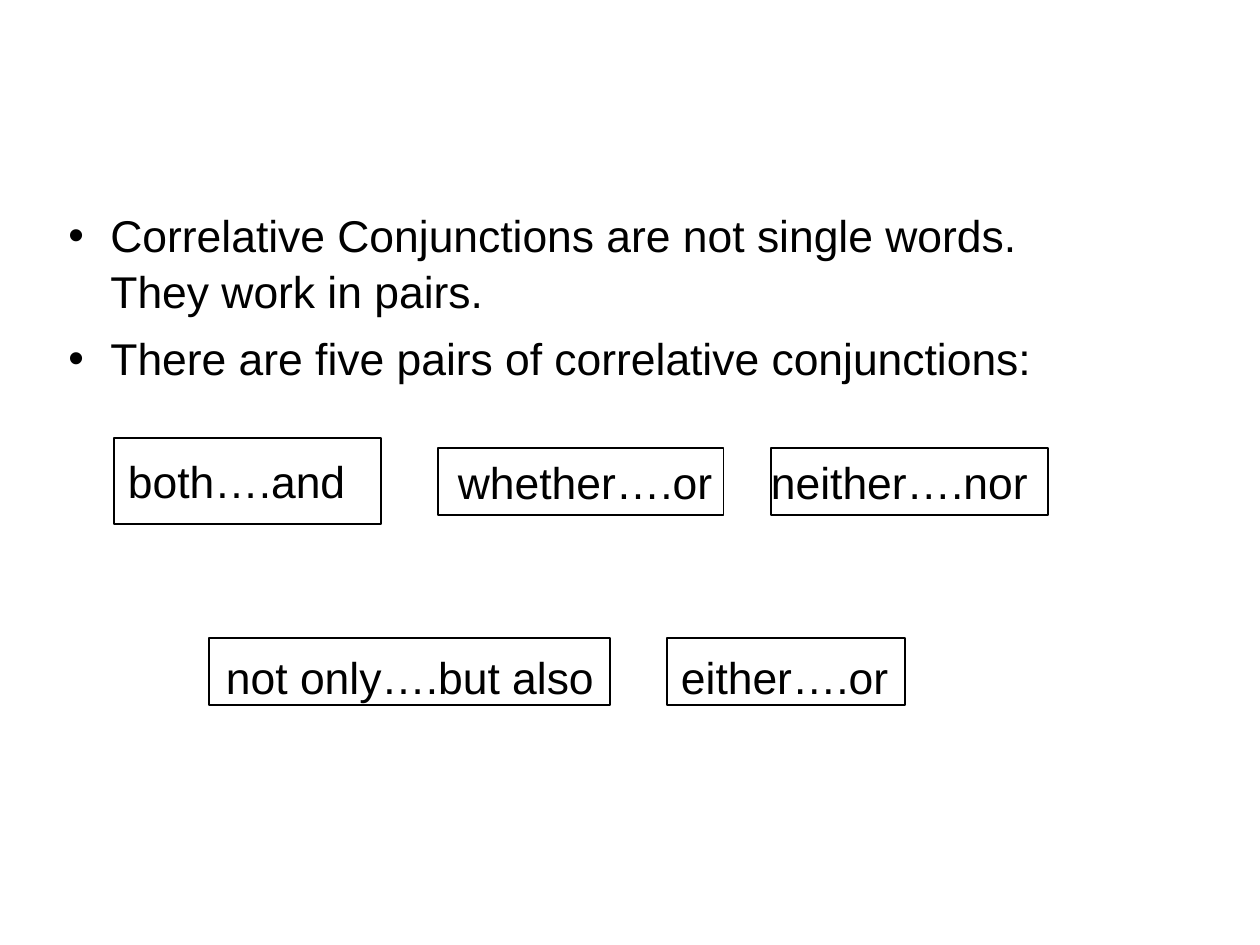
from lxml import etree
from pptx import Presentation
from pptx import util as u
from pptx.dml.color import RGBColor
from pptx.enum import shapes, text
from pptx.oxml.ns import qn

PX = 8000  # EMU in one px
SLIDE_SIZE = (1260, 945)
BLACK = "000000"

FACTS = [
    "Correlative Conjunctions are not single words. They work in pairs.",
    "There are five pairs of correlative conjunctions:",
]
FACTS_BOX = (57, 200, 1029, 566)
BULLET_INDENT = 42

# wording, (left, top, width, height), left inset, top inset
PAIRS = [
    ("both….and", (114, 438, 267, 86), 14, 0),
    ("whether….or", (438, 448, 286, 67), 20, 0),
    ("neither….nor", (771, 448, 277, 67), 0, 0),
    ("not only….but also", (209, 638, 401, 67), 17, 10),
    ("either….or", (667, 638, 238, 67), 14, 10),
]


def px(*lengths):
    return [u.Emu(length * PX) for length in lengths]


def color(hex_string):
    return RGBColor.from_string(hex_string)


def style(paragraph):
    paragraph.alignment = text.PP_ALIGN.LEFT
    for run in paragraph.runs:
        run.font.name = "Arial"
        run.font.size = u.Pt(28)
        run.font.color.rgb = color(BLACK)


def add_bullet(paragraph):
    properties = paragraph._p.get_or_add_pPr()
    indent = BULLET_INDENT * PX
    properties.set("marL", str(indent))
    properties.set("indent", str(-indent))
    etree.SubElement(properties, qn("a:buFont"), typeface="Arial")
    etree.SubElement(properties, qn("a:buChar"), char="•")


def write_facts(slide):
    body = slide.placeholders[1]
    body.left, body.top, body.width, body.height = px(*FACTS_BOX)
    frame = body.text_frame
    frame.auto_size = text.MSO_AUTO_SIZE.NONE
    frame.vertical_anchor = text.MSO_ANCHOR.TOP
    frame.text = "\n".join(FACTS)
    for index, fact in enumerate(frame.paragraphs):
        add_bullet(fact)
        fact.line_spacing = 1.05
        fact.space_before = u.Pt(7 if index else 0)
        style(fact)


def add_pair(slide, wording, box, left_inset, top_inset):
    pair = slide.shapes.add_shape(shapes.MSO_SHAPE.RECTANGLE, *px(*box))
    pair.shadow.inherit = False
    pair.fill.background()
    pair.line.color.rgb = color(BLACK)
    pair.line.width = u.Pt(0.75)
    frame = pair.text_frame
    frame.word_wrap = True
    frame.vertical_anchor = text.MSO_ANCHOR.MIDDLE
    frame.margin_left, frame.margin_top = px(left_inset, top_inset)
    frame.margin_right = frame.margin_bottom = 0
    frame.text = wording
    style(frame.paragraphs[0])


def main():
    deck = Presentation()
    deck.slide_width, deck.slide_height = px(*SLIDE_SIZE)
    slide = deck.slides.add_slide(deck.slide_layouts[1])
    title = slide.shapes.title._element
    title.getparent().remove(title)
    write_facts(slide)
    for pair in PAIRS:
        add_pair(slide, *pair)
    deck.save("out.pptx")


if __name__ == "__main__":
    main()
